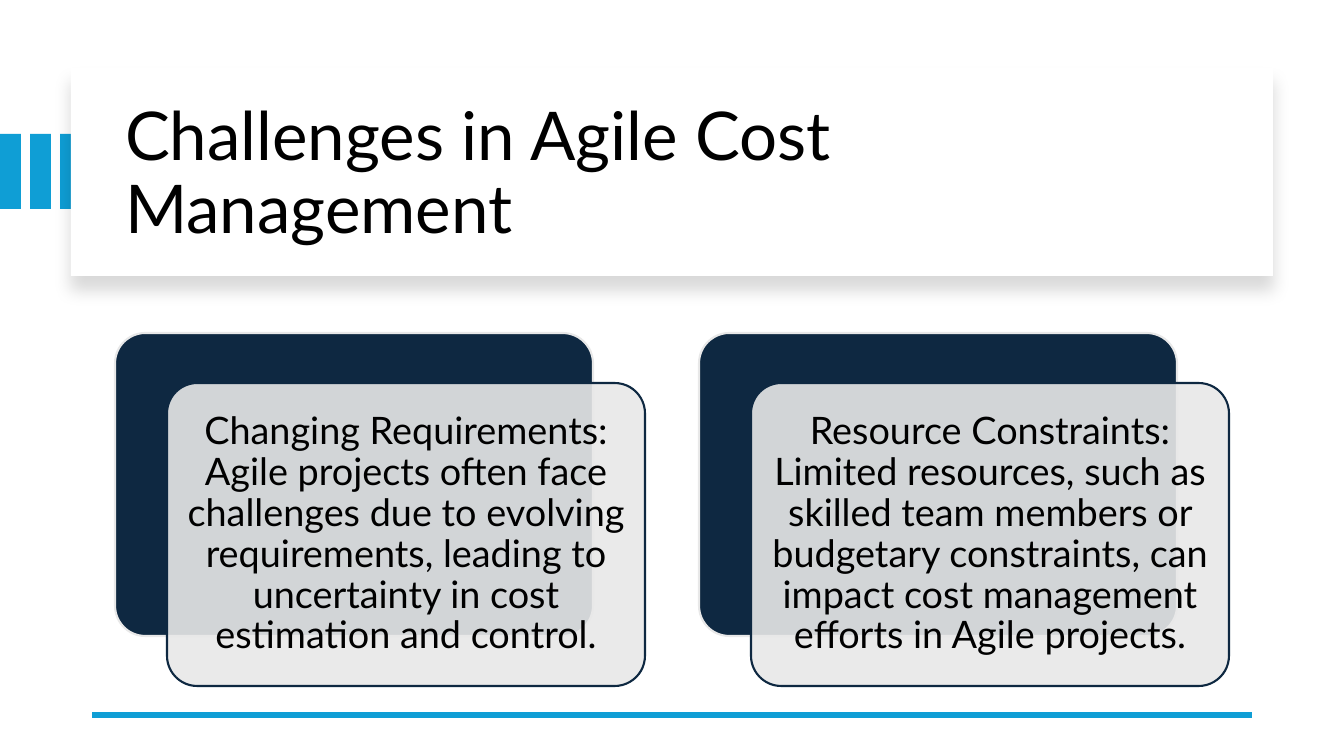
"""Build the slide on cost challenges in Agile projects."""
from lxml.etree import SubElement
from pptx import Presentation
from pptx.dml.color import RGBColor
from pptx.enum.shapes import MSO_CONNECTOR as Link, MSO_SHAPE as Kind
from pptx.enum.text import MSO_ANCHOR as Anchor, PP_ALIGN as Align
from pptx.oxml.ns import qn
from pptx.util import Pt

TITLE = "Challenges in Agile Cost Management"
CARDS = [
    "Changing Requirements: Agile projects often face challenges due to "
    "evolving requirements, leading to uncertainty in cost estimation and control.",
    "Resource Constraints: Limited resources, such as skilled team members or "
    "budgetary constraints, can impact cost management efforts in Agile projects.",
]
FONT = "Lato"
BLACK = RGBColor(0x00, 0x00, 0x00)
WHITE = RGBColor(0xFF, 0xFF, 0xFF)
BLUE = RGBColor(0x0F, 0x9E, 0xD5)
NAVY = RGBColor(0x0E, 0x28, 0x41)
GRAY = RGBColor(0xE8, 0xE8, 0xE8)

BARS, BAR_GAP = 3, 30
CARD_X, CARD_Y, CARD_W, CARD_H = 115, 333, 478, 303
CARD_GAP, SHIFT_X, SHIFT_Y = 584, 52, 50


def px(n):
    return round(n * 914400 / 100.8)


def add_box(kind, x, y, w, h, fill, edge=None):
    box = slide.shapes.add_shape(kind, px(x), px(y), px(w), px(h))
    box.fill.solid()
    box.fill.fore_color.rgb = fill
    if edge is None:
        box.line.fill.background()
    else:
        box.line.color.rgb = edge
        box.line.width = Pt(1.5)
    if kind == Kind.ROUNDED_RECTANGLE:
        box.adjustments[0] = 0.1
    box.shadow.inherit = False
    return box


def set_text(shape, text, size, align=Align.LEFT, pad=10):
    frame = shape.text_frame
    frame.text = text
    frame.word_wrap = True
    frame.vertical_anchor = Anchor.MIDDLE
    frame.margin_left = frame.margin_right = px(pad)
    para = frame.paragraphs[0]
    para.alignment = align
    para.line_spacing = 0.9
    para.space_before = Pt(0)
    font = para.runs[0].font
    font.name, font.size = FONT, Pt(size)
    font.color.rgb = BLACK


def add_alpha(color, percent):
    SubElement(color, qn("a:alpha"), val=str(percent * 1000))


def add_shadow(shape):
    effects = shape.element.spPr.find(qn("a:effectLst"))
    outer = SubElement(effects, qn("a:outerShdw"), blurRad=str(Pt(11)),
                       dist=str(Pt(10)), dir="5400000", algn="t", rotWithShape="0")
    add_alpha(SubElement(outer, qn("a:srgbClr"), val=str(BLACK)), 15)


deck = Presentation()
deck.slide_width, deck.slide_height = px(1344), px(756)
slide = deck.slides.add_slide(deck.slide_layouts[5])

for i in range(BARS):
    add_box(Kind.RECTANGLE, i * BAR_GAP, 134, 21, 75, BLUE)

panel = add_box(Kind.RECTANGLE, 71, 68, 1202, 208, WHITE)
add_shadow(panel)

title = slide.shapes.title
title.left, title.top, title.width, title.height = map(px, (115, 90, 1122, 171))
set_text(title, TITLE, 48)
panel.element.addnext(title.element)

rule = slide.shapes.add_connector(Link.STRAIGHT, px(1252), px(715), px(92), px(715))
rule.line.color.rgb = BLUE
rule.line.width = Pt(4.5)
SubElement(rule.element.spPr, qn("a:effectLst"))

for i, text in enumerate(CARDS):
    x = CARD_X + i * CARD_GAP
    add_box(Kind.ROUNDED_RECTANGLE, x, CARD_Y, CARD_W, CARD_H, NAVY, GRAY)
    front = add_box(Kind.ROUNDED_RECTANGLE, x + SHIFT_X, CARD_Y + SHIFT_Y,
                    CARD_W, CARD_H, GRAY, NAVY)
    add_alpha(front.element.spPr.find(qn("a:solidFill"))[0], 90)
    set_text(front, text, 27, align=Align.CENTER, pad=10)

deck.save("out.pptx")
